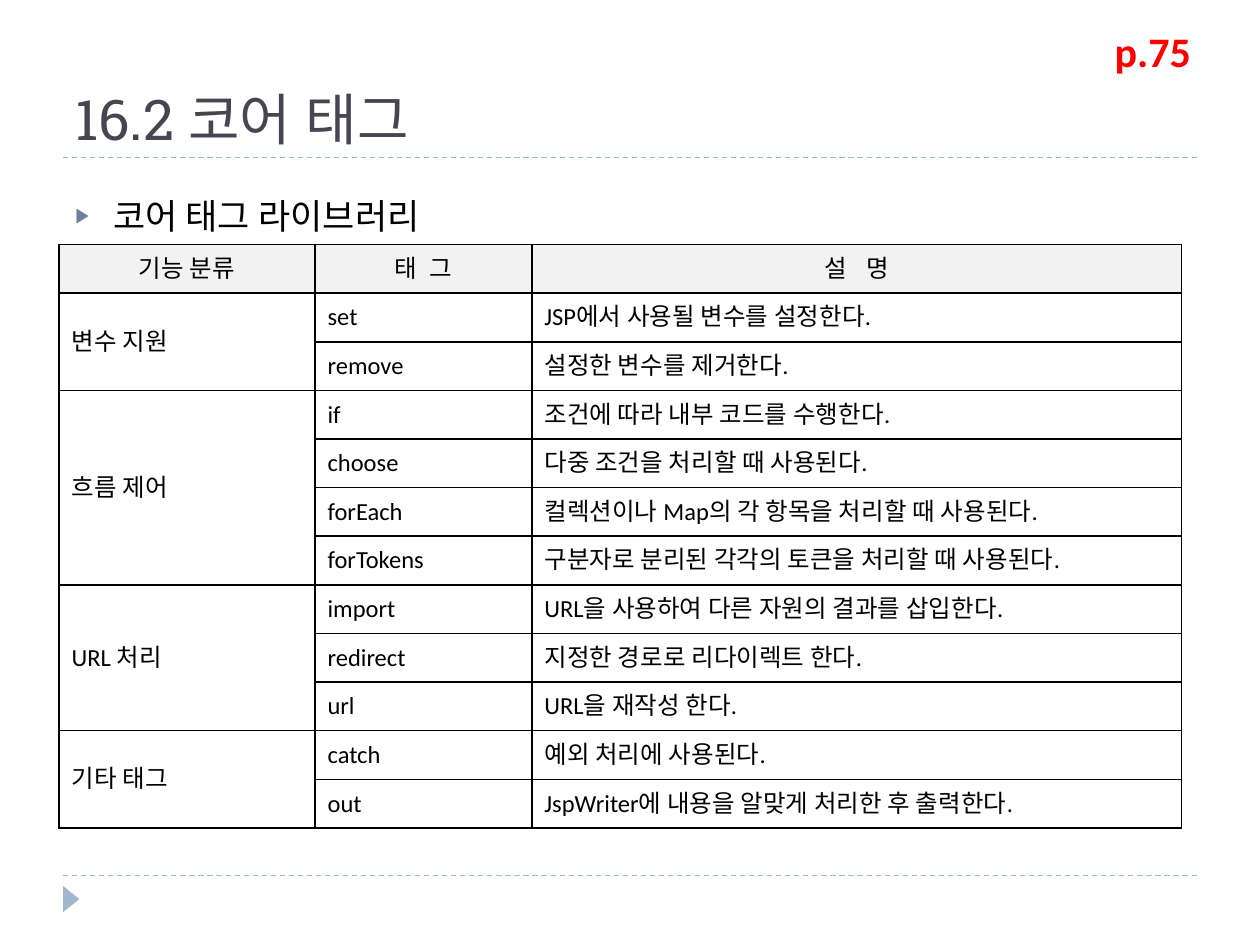
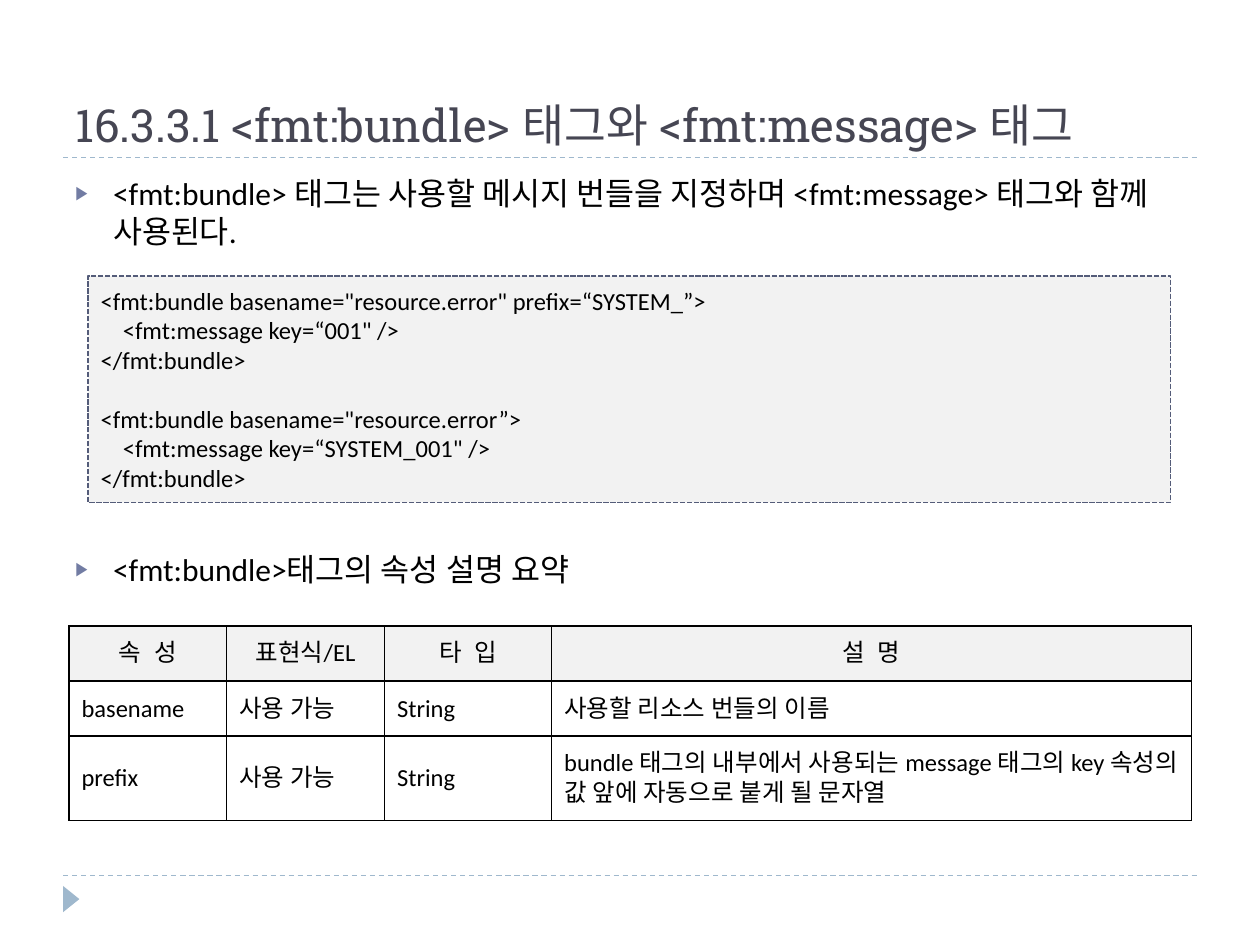
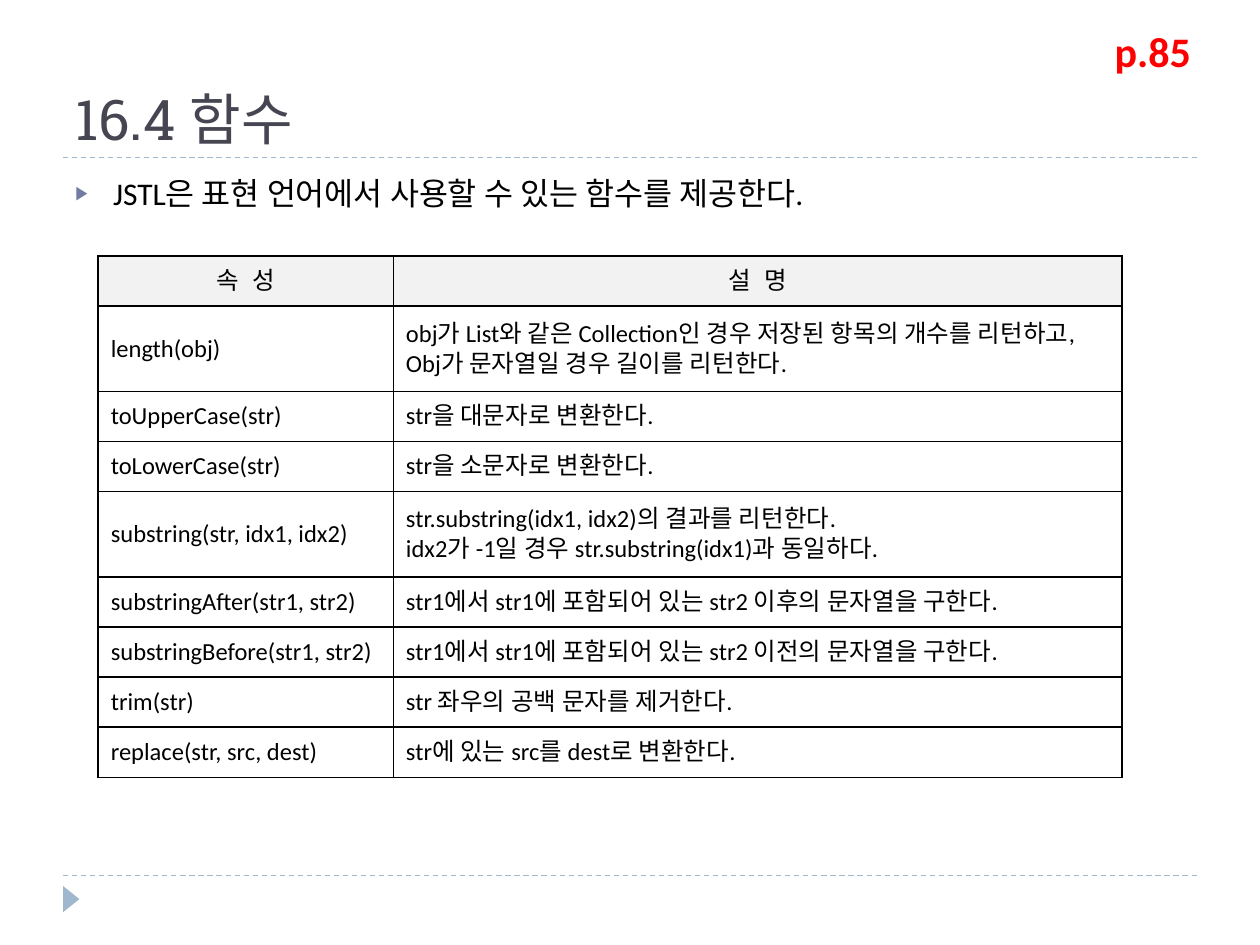
from lxml import etree
from pptx import Presentation
from pptx.dml.color import RGBColor
from pptx.enum import dml, lang, shapes, text
from pptx.oxml.ns import qn
from pptx.util import Cm, Pt

# Shared look
BLACK = RGBColor(0x00, 0x00, 0x00)
RED = RGBColor(0xFF, 0x00, 0x00)
TITLE = RGBColor(0x46, 0x46, 0x53)
BULLET = RGBColor(0x72, 0x7C, 0xA3)
RULE = RGBColor(0x9F, 0xB8, 0xCD)
PANEL = RGBColor(0xF2, 0xF2, 0xF2)
CODE_LINE = RGBColor(0x54, 0x5C, 0x79)
BODY_FONT, TITLE_FONT = "Calibri", "Roboto Slab"
LEFT, WIDTH = 1.27, 22.86
TITLE_RULE, FOOTER_RULE = 3.18, 17.65

# Content; a None cell belongs to the cell above it
CORE_TAGS = [
    ("기능 분류", "태 그", "설 명"),
    ("변수 지원", "set", "JSP에서 사용될 변수를 설정한다."),
    (None, "remove", "설정한 변수를 제거한다."),
    ("흐름 제어", "if", "조건에 따라 내부 코드를 수행한다."),
    (None, "choose", "다중 조건을 처리할 때 사용된다."),
    (None, "forEach", "컬렉션이나 Map의 각 항목을 처리할 때 사용된다."),
    (None, "forTokens", "구분자로 분리된 각각의 토큰을 처리할 때 사용된다."),
    ("URL 처리", "import", "URL을 사용하여 다른 자원의 결과를 삽입한다."),
    (None, "redirect", "지정한 경로로 리다이렉트 한다."),
    (None, "url", "URL을 재작성 한다."),
    ("기타 태그", "catch", "예외 처리에 사용된다."),
    (None, "out", "JspWriter에 내용을 알맞게 처리한 후 출력한다."),
]
BUNDLE_ATTRIBUTES = [
    ("속 성", "표현식/EL", "타 입", "설 명"),
    ("basename", "사용 가능", "String", "사용할 리소스 번들의 이름"),
    ("prefix", "사용 가능", "String",
     "bundle 태그의 내부에서 사용되는 message 태그의 key 속성의 값 앞에 자동으로 붙게 될 문자열"),
]
FUNCTIONS = [
    ("속 성", "설 명"),
    ("length(obj)",
     "obj가 List와 같은 Collection인 경우 저장된 항목의 개수를 리턴하고, Obj가 문자열일 경우 길이를 리턴한다."),
    ("toUpperCase(str)", "str을 대문자로 변환한다."),
    ("toLowerCase(str)", "str을 소문자로 변환한다."),
    ("substring(str, idx1, idx2)",
     "str.substring(idx1, idx2)의 결과를 리턴한다.\nidx2가 -1일 경우 str.substring(idx1)과 동일하다."),
    ("substringAfter(str1, str2)", "str1에서 str1에 포함되어 있는 str2 이후의 문자열을 구한다."),
    ("substringBefore(str1, str2)", "str1에서 str1에 포함되어 있는 str2 이전의 문자열을 구한다."),
    ("trim(str)", "str 좌우의 공백 문자를 제거한다."),
    ("replace(str, src, dest)", "str에 있는 src를 dest로 변환한다."),
]
CODE_BLOCKS = [
    ['<fmt:bundle basename="resource.error" prefix=“SYSTEM_”>',
     '    <fmt:message key=“001" />',
     '</fmt:bundle>'],
    ['<fmt:bundle basename="resource.error”>',
     '    <fmt:message key=“SYSTEM_001" />',
     '</fmt:bundle>'],
]
SLIDES = [
    dict(title="16.2 코어 태그", size=32, page="p.75",
         bullets=["코어 태그 라이브러리"], bullet_size=20, line_spacing=1.5,
         grid=dict(rows=CORE_TAGS, at=(1.19, 4.93), cols=(5.16, 4.37, 13.1), row=0.98,
                   widest_heading=2)),
    dict(title="16.3.3.1 <fmt:bundle> 태그와 <fmt:message> 태그", size=26, code=CODE_BLOCKS,
         bullets=["<fmt:bundle> 태그는 사용할 메시지 번들을 지정하며 <fmt:message> 태그와 함께 사용된다.",
                  "<fmt:bundle>태그의 속성 설명 요약"], bullet_gap=172,
         grid=dict(rows=BUNDLE_ATTRIBUTES, at=(1.39, 12.62), cols=(3.18, 3.18, 3.37, 12.9),
                   row=1.11, tall_row=1.7, tall=(2,))),
    dict(title="16.4 함수", size=32, page="p.85",
         bullets=["JSTL은 표현 언어에서 사용할 수 있는 함수를 제공한다."],
         grid=dict(rows=FUNCTIONS, at=(1.98, 5.16), cols=(5.95, 14.69),
                   row=1.01, tall_row=1.72, tall=(1, 4))),
]


def style(p, size, color=BLACK, font=BODY_FONT, bold=False):
    for r in p.runs:
        r.font.size, r.font.name, r.font.bold = Pt(size), font, bold
        r.font.language_id = lang.MSO_LANGUAGE_ID.KOREAN
        r.font.color.rgb = color
        etree.SubElement(r.font._element, qn("a:ea"), typeface=font)


def add_frame(s, title, size):
    """Title, two dashed rules and the corner marker."""
    sp = s.shapes.title
    sp.left, sp.top, sp.width, sp.height = Cm(LEFT), Cm(0.44), Cm(WIDTH), Cm(2.74)
    tf = sp.text_frame
    tf.text = title
    tf.word_wrap, tf.auto_size = True, text.MSO_AUTO_SIZE.NONE
    tf.vertical_anchor = text.MSO_ANCHOR.BOTTOM
    p = tf.paragraphs[0]
    p.alignment = text.PP_ALIGN.LEFT
    style(p, size, TITLE, TITLE_FONT)

    for y in (TITLE_RULE, FOOTER_RULE):
        line = s.shapes.add_connector(shapes.MSO_CONNECTOR.STRAIGHT,
                                      Cm(LEFT), Cm(y), Cm(LEFT + WIDTH), Cm(y))
        line.line.color.rgb, line.line.width = RULE, Pt(0.75)
        line.line.dash_style = dml.MSO_LINE.DASH
        etree.SubElement(line._element.spPr, qn("a:effectLst"))

    marker = s.shapes.add_shape(shapes.MSO_SHAPE.ISOSCELES_TRIANGLE,
                                Cm(1.17), Cm(17.96), Cm(0.53), Cm(0.33))
    marker.rotation = 90
    marker.shadow.inherit = False
    marker.fill.solid()
    marker.fill.fore_color.rgb = RULE
    marker.line.fill.background()


def add_page_ref(s, page):
    tf = s.shapes.add_textbox(Cm(22.22), Cm(0.39), Cm(2.18), Cm(1.27)).text_frame
    tf.text = page
    tf.auto_size = text.MSO_AUTO_SIZE.SHAPE_TO_FIT_TEXT
    style(tf.paragraphs[0], 24, RED, bold=True)


def add_bullets(s, bullets, size=18, line_spacing=1.0, gap=6):
    tf = s.shapes.add_textbox(Cm(LEFT), Cm(3.38), Cm(WIDTH), Cm(13.72)).text_frame
    tf.word_wrap = True
    tf.text = "\n".join(bullets)
    for i, p in enumerate(tf.paragraphs):
        pPr = p._p.get_or_add_pPr()
        pPr.set("marL", str(Cm(0.76)))
        pPr.set("indent", str(-Cm(0.76)))
        color = etree.SubElement(pPr, qn("a:buClr"))
        etree.SubElement(color, qn("a:srgbClr"), val=str(BULLET))
        etree.SubElement(pPr, qn("a:buSzPct"), val="60000")
        etree.SubElement(pPr, qn("a:buFont"), typeface=BODY_FONT)
        etree.SubElement(pPr, qn("a:buChar"), char="▶")
        p.line_spacing = line_spacing
        if i:
            p.space_before = Pt(gap)
        style(p, size)


def add_code(s, blocks):
    box = s.shapes.add_shape(shapes.MSO_SHAPE.RECTANGLE, Cm(1.78), Cm(5.56), Cm(21.82), Cm(4.57))
    box.shadow.inherit = False
    box.fill.solid()
    box.fill.fore_color.rgb = PANEL
    box.line.color.rgb, box.line.width = CODE_LINE, Pt(1)
    box.line.dash_style = dml.MSO_LINE.SQUARE_DOT
    tf = box.text_frame
    tf.word_wrap = True
    tf.vertical_anchor = text.MSO_ANCHOR.MIDDLE
    tf.text = "\n".join(line for block in blocks for line in block)
    for p in tf.paragraphs:
        p.alignment = text.PP_ALIGN.LEFT
        style(p, 14)
    # One line of space between the two blocks
    tf.paragraphs[len(blocks[0])].space_before = Pt(17)


def add_borders(cell):
    tcPr = cell._tc.get_or_add_tcPr()
    for i, side in enumerate(("a:lnL", "a:lnR", "a:lnT", "a:lnB")):
        ln = etree.Element(qn(side), w=str(Pt(1)))
        fill = etree.SubElement(ln, qn("a:solidFill"))
        etree.SubElement(fill, qn("a:srgbClr"), val=str(BLACK))
        tcPr.insert(i, ln)


def add_grid(s, rows, at, cols, row, tall_row=0, tall=(), widest_heading=None):
    heights = [tall_row if i in tall else row for i in range(len(rows))]
    table = s.shapes.add_table(len(rows), len(cols), Cm(at[0]), Cm(at[1]),
                               Cm(sum(cols)), Cm(sum(heights))).table
    table.first_row = table.horz_banding = False
    for column, width in zip(table.columns, cols):
        column.width = Cm(width)
    for i, values in enumerate(rows):
        table.rows[i].height = Cm(heights[i])
        for j, value in enumerate(values):
            cell = table.cell(i, j)
            cell.vertical_anchor = text.MSO_ANCHOR.MIDDLE
            if i == 0:
                cell.fill.solid()
                cell.fill.fore_color.rgb = PANEL
            else:
                cell.fill.background()
            add_borders(cell)
            cell.text = value or ""
            for p in cell.text_frame.paragraphs:
                style(p, 14)
                if i == 0:
                    p.alignment = text.PP_ALIGN.CENTER
                    if len(value) == 3:  # spread the two-letter headings
                        spread = Pt(4) if j == widest_heading else Pt(2)
                        p.runs[0].font._element.set("spc", str(spread.centipoints))

    # Join each group name with the None cells below it
    starts = [i for i, values in enumerate(rows) if values[0]] + [len(rows)]
    for start, end in zip(starts, starts[1:]):
        if end - start > 1:
            table.cell(start, 0).merge(table.cell(end - 1, 0))


def main():
    prs = Presentation()
    prs.slide_width, prs.slide_height = Cm(25.4), Cm(19.05)
    for d in SLIDES:
        s = prs.slides.add_slide(prs.slide_layouts[5])
        add_frame(s, d["title"], d["size"])
        add_bullets(s, d["bullets"], d.get("bullet_size", 18),
                    d.get("line_spacing", 1.0), d.get("bullet_gap", 6))
        if "code" in d:
            add_code(s, d["code"])
        add_grid(s, **d["grid"])
        if "page" in d:
            add_page_ref(s, d["page"])
    prs.save("out.pptx")


if __name__ == "__main__":
    main()
